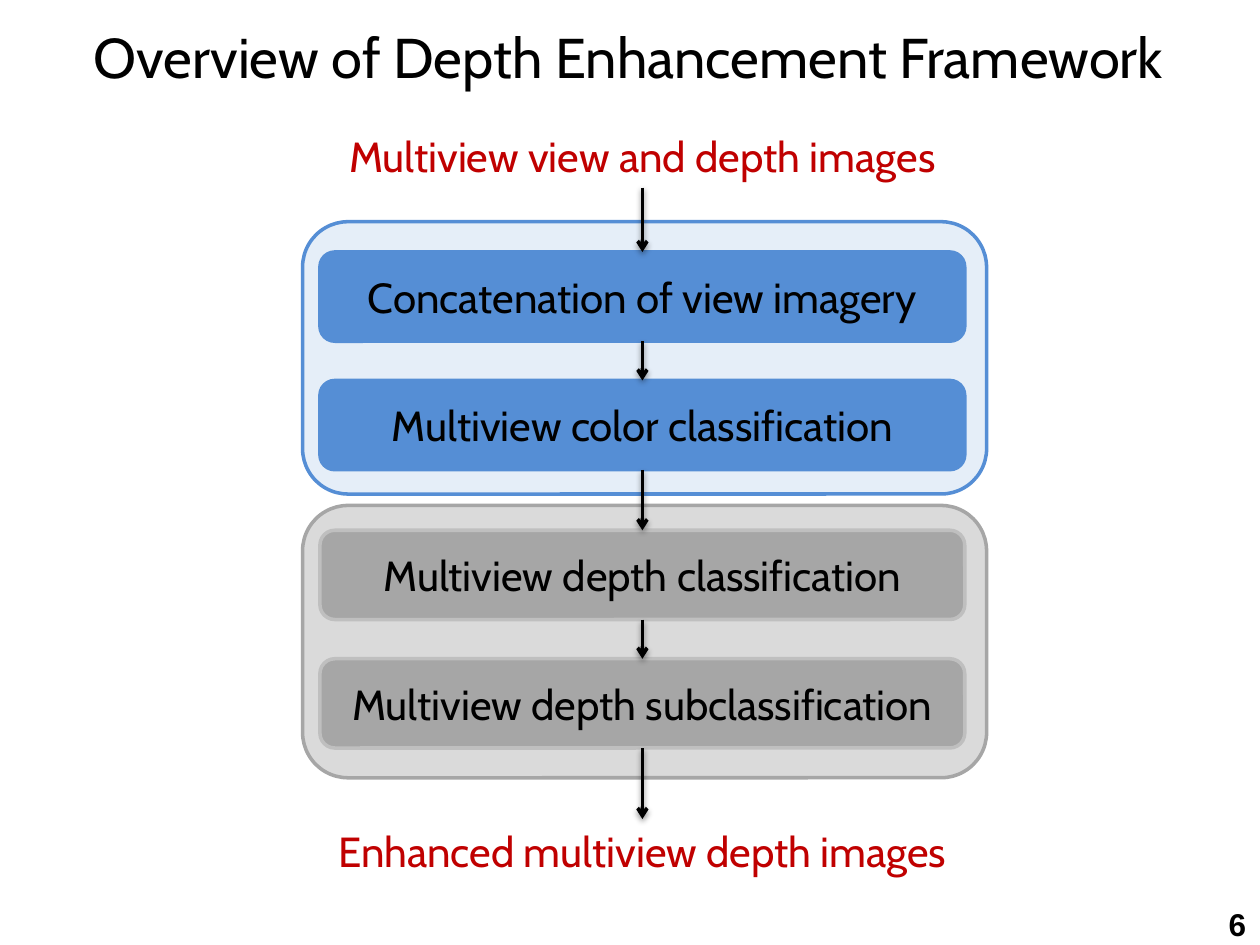
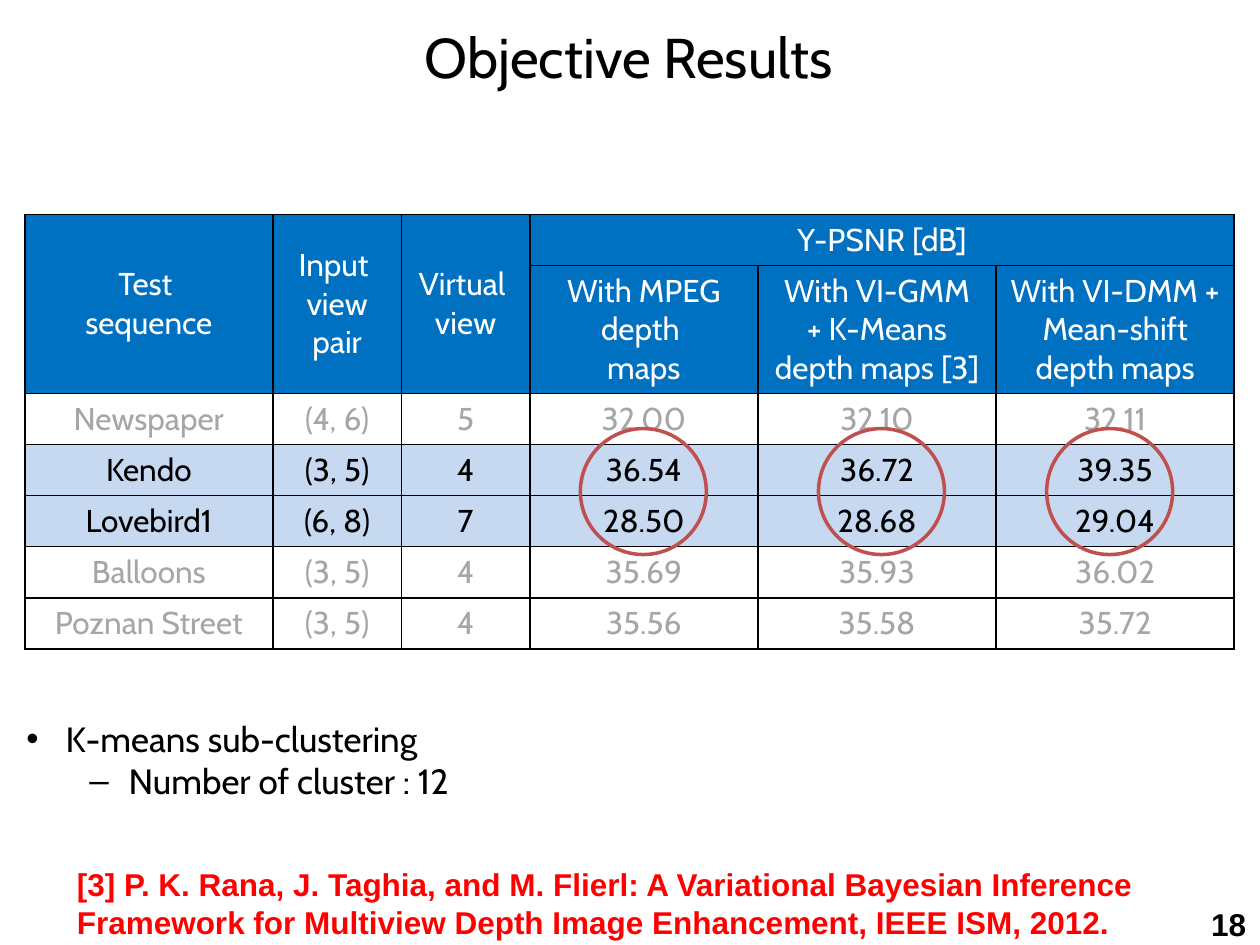
from pptx import Presentation
from pptx.dml.color import RGBColor
from pptx.enum.shapes import MSO_CONNECTOR as Connector, MSO_SHAPE as Shape
from pptx.enum.text import MSO_ANCHOR as Anchor, MSO_AUTO_SIZE as AutoSize, PP_ALIGN as Align
from pptx.oxml import parse_xml
from pptx.oxml.ns import nsdecls, qn
from pptx.util import Cm, Pt

BLACK, WHITE = "000000", "FFFFFF"
BLUE, GRAY, PALE_GRAY, DARK_GRAY = "558ED5", "A6A6A6", "BFBFBF", "808080"
HEADER_BLUE, HIGHLIGHT = "0070C0", "C6D9F1"
DARK_RED, RING_RED, RED = "C00000", "C0504D", "FF0000"
MAIN_FONT, NOTE_FONT = "Cabin", "Arial"
TITLE_ONLY, TITLE_AND_CONTENT = 5, 1

PANELS = [
    (BLUE, 15, BLUE, BLUE, BLUE, 0.61,
     ["Concatenation of view imagery", "Multiview color classification"]),
    (DARK_GRAY, 29, GRAY, GRAY, PALE_GRAY, 0.5,
     ["Multiview depth classification", "Multiview depth subclassification"]),
]
HEADERS = ["Test \nsequence", "Input \nview pair", "Virtual \nview", "Y-PSNR [dB]"]
SUBHEADERS = ["With MPEG depth \nmaps", "With VI-GMM\v+ K-Means\ndepth maps [3]",
              "With VI-DMM + Mean-shift depth maps"]
RESULTS = [
    ("Newspaper", "(4, 6)", "5", "32.00", "32.10", "32.11"),
    ("Kendo", "(3, 5)", "4", "36.54", "36.72", "39.35"),
    ("Lovebird1", "(6, 8)", "7", "28.50", "28.68", "29.04"),
    ("Balloons", "(3, 5)", "4", "35.69", "35.93", "36.02"),
    ("Poznan Street", "(3, 5)", "4", "35.56", "35.58", "35.72"),
]
HIGHLIGHTED = {"Kendo", "Lovebird1"}
REFERENCE = ("[3] P. K. Rana, J. Taghia, and M. Flierl: A Variational Bayesian Inference "
             "Framework for Multiview Depth Image Enhancement, IEEE ISM, 2012.")


def color(value):
    """Turn a hex string into a colour."""
    return RGBColor.from_string(value)


def place(shape, left, top, width, height):
    """Move and size a shape in centimetres."""
    shape.left, shape.top, shape.width, shape.height = map(Cm, (left, top, width, height))


def write(text_frame, text, size, ink=BLACK, font=MAIN_FONT, bold=False, align=Align.CENTER):
    """Fill a text frame and format all of its runs."""
    text_frame.text = text
    for paragraph in text_frame.paragraphs:
        paragraph.alignment = align
        for run in paragraph.runs:
            run.font.size, run.font.name, run.font.bold = Pt(size), font, bold
            run.font.color.rgb = color(ink)


def paint(shape, fill, line):
    """Give a shape a fill, or none, and a 2 point outline."""
    if fill:
        shape.fill.solid()
        shape.fill.fore_color.rgb = color(fill)
    else:
        shape.fill.background()
    shape.line.color.rgb = color(line)
    shape.line.width = Pt(2)


def add_preset(slide, kind, box, fill, line):
    """Add a preset shape without a shadow."""
    shape = slide.shapes.add_shape(kind, *map(Cm, box))
    shape.shadow.inherit = False
    paint(shape, fill, line)
    return shape


def add_text(slide, box, text, size, **style):
    """Add a wrapping text box."""
    text_frame = slide.shapes.add_textbox(*map(Cm, box)).text_frame
    text_frame.word_wrap = True
    write(text_frame, text, size, **style)


def add_slide(presentation, layout, title_text, number):
    """Add a slide with the shared title and page number."""
    slide = presentation.slides.add_slide(presentation.slide_layouts[layout])
    title = slide.shapes.title
    place(title, 0, 0.33, 25.35, 1.6)
    paint(title, WHITE, WHITE)
    title.text_frame.auto_size = AutoSize.NONE
    title.text_frame.vertical_anchor = Anchor.MIDDLE
    write(title.text_frame, title_text, 32)
    add_text(slide, (23.57, 18.12, 1.8, 0.93), number, 18,
             font=NOTE_FONT, bold=True, align=Align.RIGHT)
    return slide


def add_arrow(slide, x, top, bottom):
    """Add a downward arrow with a soft shadow."""
    arrow = slide.shapes.add_connector(Connector.STRAIGHT, Cm(x), Cm(top), Cm(x), Cm(bottom))
    arrow.line.color.rgb = color(BLACK)
    arrow.line.width = Pt(2)
    arrow.line._get_or_add_ln().append(parse_xml(f'<a:tailEnd {nsdecls("a")} type="arrow"/>'))
    arrow._element.spPr.append(parse_xml(
        f'<a:effectLst {nsdecls("a")}><a:outerShdw blurRad="40000" dist="20000" dir="5400000" '
        f'rotWithShape="0"><a:srgbClr val="{BLACK}"><a:alpha val="38000"/></a:srgbClr>'
        '</a:outerShdw></a:effectLst>'))


def add_panel(slide, box, panel):
    """Add a translucent panel with its steps and return the step tops."""
    left, top, width, height = box
    fill, opacity, line, step_fill, step_line, offset, steps = panel
    shape = add_preset(slide, Shape.ROUNDED_RECTANGLE, box, fill, line)
    shade = shape._element.spPr.find(qn("a:solidFill"))[0]
    shade.append(parse_xml(f'<a:alpha {nsdecls("a")} val="{opacity * 1000}"/>'))
    tops = [top + offset + 2.59 * index for index in range(len(steps))]
    for step_top, text in zip(tops, steps):
        step = add_preset(slide, Shape.ROUNDED_RECTANGLE,
                          (left + 0.35, step_top, 13, 1.8), step_fill, step_line)
        step.text_frame.vertical_anchor = Anchor.MIDDLE
        write(step.text_frame, text, 24)
    return tops


def add_framework(slide, left, top, width, height):
    """Add the whole flow from input label to output label."""
    label_height = 1.27
    output_top = top + height - label_height
    for label_top, text in ((top, "Multiview view and depth images"),
                            (output_top, "Enhanced multiview depth images")):
        add_text(slide, (left + 0.35, label_top, 13, label_height), text, 24, ink=DARK_RED)
    step_tops = []
    for index, panel in enumerate(PANELS):
        step_tops += add_panel(slide, (left, top + 1.96 + 5.72 * index, width, 5.49), panel)
    starts = [top + label_height] + [step_top + 1.8 for step_top in step_tops]
    for start, end in zip(starts, step_tops + [output_top]):
        add_arrow(slide, left + 6.85, start, end)


def fill_cell(cell, text, fill, ink):
    """Write, border and fill one table cell."""
    properties = cell._tc.get_or_add_tcPr()
    for side in "LRTB":
        properties.append(parse_xml(
            f'<a:ln{side} {nsdecls("a")} w="12700"><a:solidFill><a:srgbClr val="{BLACK}"/>'
            f'</a:solidFill></a:ln{side}>'))
    cell.fill.solid()
    cell.fill.fore_color.rgb = color(fill)
    cell.vertical_anchor = Anchor.MIDDLE
    write(cell.text_frame, text, 18, ink)


def add_results(slide, left, top):
    """Add the results table and the rings over its highlighted values."""
    widths = [5, 2.59, 2.59, 4.6, 4.8, 4.8]
    heights = [1.03, 2.58] + [1.03] * len(RESULTS)
    table = slide.shapes.add_table(len(heights), len(widths), Cm(left), Cm(top),
                                   Cm(sum(widths)), Cm(sum(heights))).table
    table.first_row = table.horz_banding = False
    for column, width in zip(table.columns, widths):
        column.width = Cm(width)
    for row, height in zip(table.rows, heights):
        row.height = Cm(height)
    rows = [HEADERS + [""] * 2, [""] * 3 + SUBHEADERS, *RESULTS]
    for row_index, values in enumerate(rows):
        if row_index < 2:
            fill, ink = HEADER_BLUE, WHITE
        else:
            fill, ink = (HIGHLIGHT, BLACK) if values[0] in HIGHLIGHTED else (WHITE, GRAY)
        for column_index, text in enumerate(values):
            fill_cell(table.cell(row_index, column_index), text, fill, ink)
    for column_index in range(3):
        table.cell(0, column_index).merge(table.cell(1, column_index))
    table.cell(0, 3).merge(table.cell(0, 5))
    for offset in (11.2, 16, 20.6):
        add_preset(slide, Shape.OVAL, (left + offset, top + 4.32, 2.54, 2.54), None, RING_RED)


def add_settings(slide, left, top, width, height):
    """Fill the body placeholder with the clustering settings."""
    body = slide.placeholders[1]
    place(body, left, top, width, height)
    body.text_frame.auto_size = AutoSize.NONE
    write(body.text_frame, "K-means sub-clustering\nNumber of cluster : 12", 20, align=Align.LEFT)
    for level, paragraph in enumerate(body.text_frame.paragraphs):
        paragraph.level = level
        paragraph.space_before = Pt(0)
        properties = paragraph._p.get_or_add_pPr()
        properties.set("marL", str(Cm(0.79 + 1.27 * level)))
        properties.set("indent", str(-Cm(0.79)))


def main():
    """Build both slides and save them."""
    presentation = Presentation()
    presentation.slide_width, presentation.slide_height = Cm(25.4), Cm(19.05)

    overview = add_slide(presentation, TITLE_ONLY, "Overview of Depth Enhancement Framework", "6")
    add_framework(overview, 6.1, 2.51, 13.79, 15.27)

    results = add_slide(presentation, TITLE_AND_CONTENT, "Objective Results", "18")
    add_results(results, 0.5, 4.32)
    add_settings(results, 0.28, 14.33, 9.58, 1.96)
    add_text(results, (1.3, 17.32, 24.05, 1.73), REFERENCE, 18,
             ink=RED, font=NOTE_FONT, bold=True, align=Align.LEFT)
    presentation.save("out.pptx")


if __name__ == "__main__":
    main()
